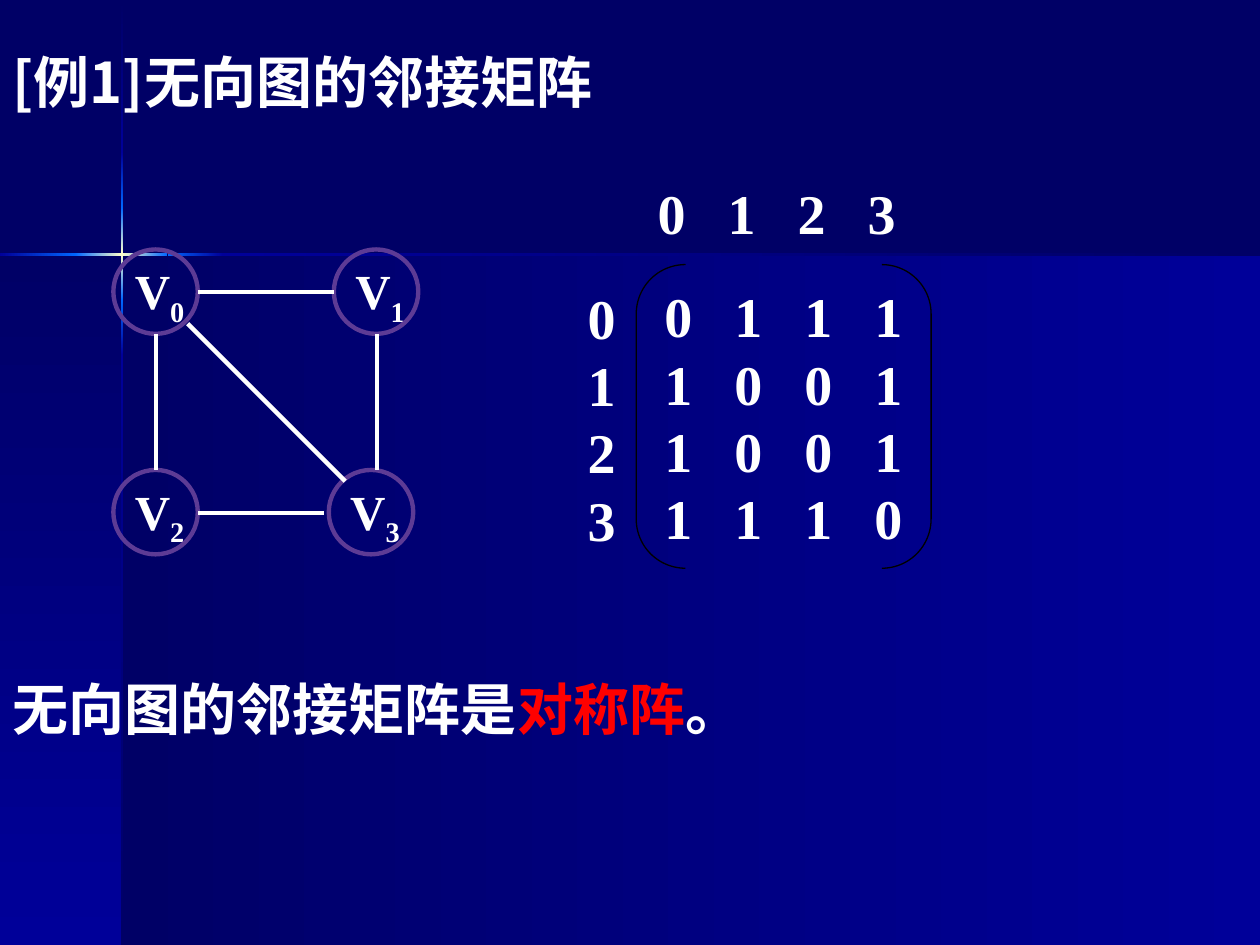
from lxml.etree import SubElement
from pptx import Presentation
from pptx.dml.color import RGBColor
from pptx.enum.shapes import MSO_CONNECTOR as Connector, MSO_SHAPE as Preset
from pptx.enum.text import MSO_ANCHOR as Anchor, MSO_AUTO_SIZE as AutoSize, PP_ALIGN as Align
from pptx.oxml.ns import qn
from pptx.util import Inches, Pt

COLORS = {
    "navy": "000066", "blue": "000099", "glow": "0066FF", "spark": "FFFFCC",
    "white": "FFFFFF", "red": "FF0000", "purple": "5D3B95", "black": "000000",
}
HEADING_FONT, MATH_FONT = "Noto Sans CJK SC", "Times New Roman"
COLUMNS, ROWS = 100, 75
RIGHT, DOWN = 0, 270


class SlideBuilder:
    def __init__(self, presentation):
        presentation.slide_width, presentation.slide_height = Inches(10), Inches(7.5)
        self.column = presentation.slide_width / COLUMNS
        self.row = presentation.slide_height / ROWS
        self.slide = presentation.slides.add_slide(presentation.slide_layouts[1])
        self.shapes = self.slide.shapes
        self.backdrop_count = 0

    def color(self, name):
        return RGBColor.from_string(COLORS[name])

    def box(self, left, top, width, height):
        return [round(left * self.column), round(top * self.row),
                round(width * self.column), round(height * self.row)]

    def background(self, name):
        fill = self.slide.background.fill
        fill.solid()
        fill.fore_color.rgb = self.color(name)

    def backdrop(self, area, names, angle):
        shape = self.shapes.add_shape(Preset.RECTANGLE, *self.box(*area))
        shape.shadow.inherit = False
        shape.line.fill.background()
        shape.fill.gradient()
        shape.fill.gradient_angle = angle
        stops = shape._element.spPr.find(qn("a:gradFill")).find(qn("a:gsLst"))
        for stop in list(stops):
            stops.remove(stop)
        for index, name in enumerate(names):
            position = 100000 * index // (len(names) - 1)
            stop = SubElement(stops, qn("a:gs"), pos=str(position))
            SubElement(stop, qn("a:srgbClr"), val=COLORS[name])
        self.shapes._spTree.insert(2 + self.backdrop_count, shape._element)
        self.backdrop_count += 1

    def run(self, paragraph, text, size, font=MATH_FONT, color="white", baseline=None):
        run = paragraph.add_run()
        run.text = text
        for name, value in {"size": Pt(size), "bold": True, "name": font}.items():
            setattr(run.font, name, value)
        run.font.color.rgb = self.color(color)
        properties = run._r.get_or_add_rPr()
        SubElement(properties, qn("a:ea"), typeface=font)
        if baseline:
            properties.set("baseline", str(baseline))

    def placeholder(self, shape, area, runs):
        for name, value in zip(("left", "top", "width", "height"), self.box(*area)):
            setattr(shape, name, value)
        frame = shape.text_frame
        frame.auto_size, frame.vertical_anchor = AutoSize.NONE, Anchor.TOP
        paragraph = frame.paragraphs[0]
        properties = paragraph._p.get_or_add_pPr()
        properties.set("marL", "0")
        properties.set("indent", "0")
        SubElement(properties, qn("a:buNone"))
        paragraph.alignment, paragraph.space_before = Align.LEFT, Pt(0)
        for text, color in runs:
            self.run(paragraph, text, 32, HEADING_FONT, color)

    def frame(self, shape, anchor=Anchor.TOP, left=0):
        frame = shape.text_frame
        settings = {"word_wrap": True, "vertical_anchor": anchor, "margin_left": round(left * self.column),
                    "margin_top": 0, "margin_right": 0, "margin_bottom": 0}
        for name, value in settings.items():
            setattr(frame, name, value)
        return frame

    def text_box(self, area):
        return self.frame(self.shapes.add_textbox(*self.box(*area)))

    def rows(self, frame, rows, alignment=Align.LEFT, gap=5.55):
        for index, cells in enumerate(rows):
            paragraph = frame.add_paragraph() if index else frame.paragraphs[0]
            paragraph.alignment = alignment
            if len(cells) > 1:
                tabs = SubElement(paragraph._p.get_or_add_pPr(), qn("a:tabLst"))
                for step in range(1, len(cells)):
                    SubElement(tabs, qn("a:tab"), pos=str(round(step * gap * self.column)), algn="l")
            self.run(paragraph, "\t".join(cells), 32)

    def outline(self, preset, area, color, width):
        shape = self.shapes.add_shape(preset, *self.box(*area))
        shape.shadow.inherit = False
        shape.fill.background()
        shape.line.color.rgb = self.color(color)
        shape.line.width = Pt(width)
        return shape

    def matrix(self, area, rows):
        bracket = self.outline(Preset.DOUBLE_BRACKET, area, "black", 0.75)
        bracket.adjustments[0] = 0.167
        self.rows(self.frame(bracket, Anchor.MIDDLE, left=1.1), rows)

    def vertex(self, index, left, top, size=6.7):
        paragraph = self.text_box((left + 1.7, top + 0.9, 5, 6)).paragraphs[0]
        self.run(paragraph, "V", 28)
        self.run(paragraph, str(index), 28, baseline=-25000)
        self.outline(Preset.OVAL, (left, top, size, size), "purple", 2.5)

    def edge(self, start, end):
        points = [*self.box(*start, 0, 0)[:2], *self.box(*end, 0, 0)[:2]]
        line = self.shapes.add_connector(Connector.STRAIGHT, *points)
        line.line.color.rgb = self.color("white")
        line.line.width = Pt(2.5)
        SubElement(line._element.spPr, qn("a:effectLst"))


def main():
    presentation = Presentation()
    builder = SlideBuilder(presentation)
    builder.background("navy")

    dark, fade_in = ("navy", "blue"), ("blue", "glow")
    spark = ("glow", "spark", "glow")
    for area, names, angle in [
        ((9.7, 20.2, 90.3, 54.8), dark, RIGHT),
        ((0, 20.2, 9.7, 54.8), dark, DOWN),
        ((9.6, 0, 0.2, 12.1), dark, DOWN),
        ((9.6, 28.2, 0.2, 46.8), dark[::-1], DOWN),
        ((17.7, 20.1, 82.3, 0.2), dark[::-1], RIGHT),
        ((9.6, 23.8, 0.2, 4.4), fade_in[::-1], DOWN),
        ((9.6, 12.1, 0.2, 4.4), fade_in, DOWN),
        ((9.6, 16.5, 0.2, 7.3), spark, DOWN),
        ((0, 20.1, 6.1, 0.2), fade_in, RIGHT),
        ((13.3, 20.1, 4.4, 0.2), fade_in[::-1], RIGHT),
        ((6, 20.1, 7.3, 0.2), spark, RIGHT),
    ]:
        builder.backdrop(area, names, angle)

    title, body = builder.slide.placeholders
    builder.placeholder(title, (0, 3.3, 100, 7.5), [("[例1]无向图的邻接矩阵", "white")])
    builder.placeholder(body, (0, 53, 100, 7.5),
                        [("无向图的邻接矩阵是", "white"), ("对称阵", "red"), ("。", "white")])

    builder.rows(builder.text_box((45, 22.5, 5.5, 23)), "0123", Align.CENTER)
    builder.matrix((50.5, 21, 23.4, 24.1), ["0111", "1001", "1001", "1110"])
    builder.rows(builder.text_box((52.2, 14.2, 20.8, 6.9)), ["0123"])

    for index, corner in enumerate([(9, 19.8), (26.5, 19.8), (9, 37.3), (26.1, 37.3)]):
        builder.vertex(index, *corner)
    for start, end in [
        ((15.7, 23.2), (26.5, 23.2)),
        ((29.9, 26.5), (29.9, 37.3)),
        ((15.7, 40.7), (25.7, 40.7)),
        ((12.4, 26.5), (12.4, 37.3)),
        ((14.9, 25.7), (27.4, 38.2)),
    ]:
        builder.edge(start, end)

    presentation.save("out.pptx")


if __name__ == "__main__":
    main()
